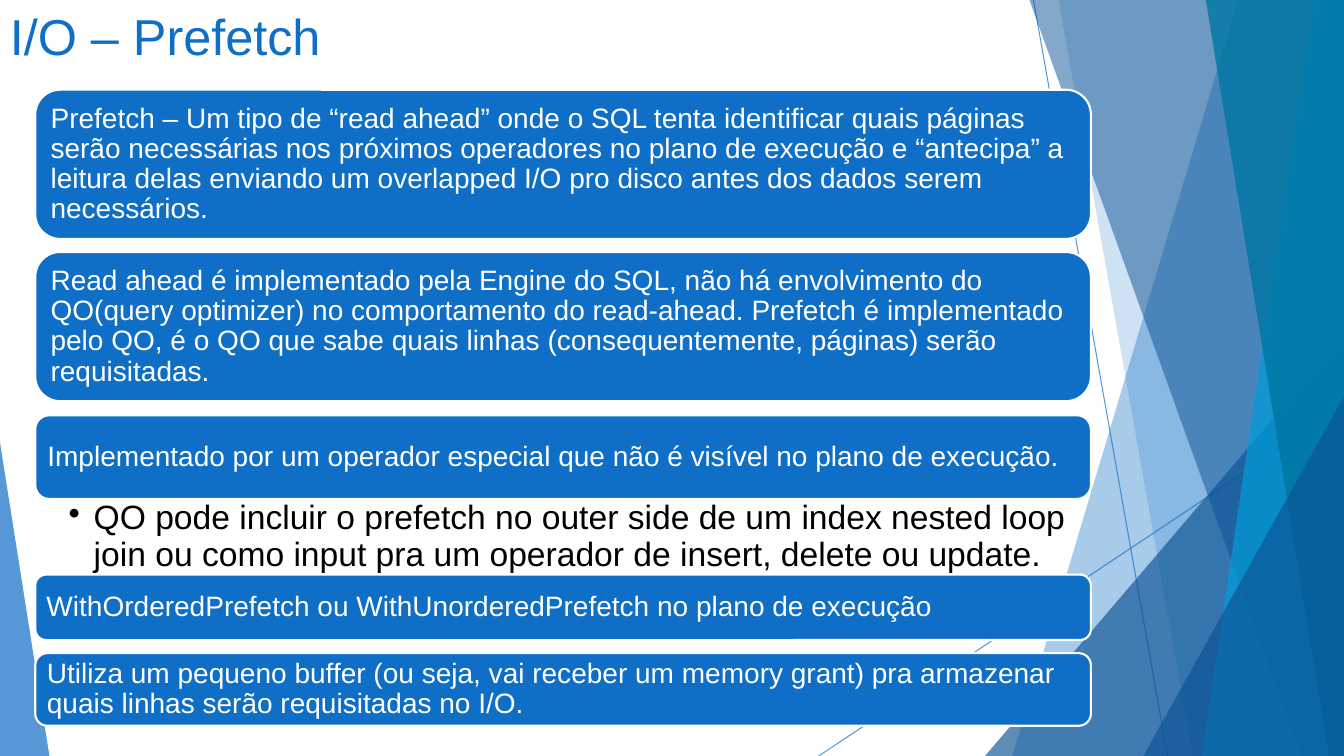
import pptx
import pptx.dml.color
import pptx.enum.shapes
import pptx.enum.text
import pptx.oxml
import pptx.oxml.ns
import pptx.util
from lxml import etree

Inches = pptx.util.Inches
Pt = pptx.util.Pt
RGBColor = pptx.dml.color.RGBColor
SHAPE = pptx.enum.shapes.MSO_SHAPE
ANCHOR = pptx.enum.text.MSO_ANCHOR
qn = pptx.oxml.ns.qn

BLUE = RGBColor(0x0F, 0x6F, 0xC6)
NAVY = RGBColor(0x0B, 0x53, 0x94)
CYAN = RGBColor(0x00, 0x9D, 0xD9)
TEAL = RGBColor(0x00, 0x76, 0xA3)
WHITE = RGBColor(0xFF, 0xFF, 0xFF)
BLACK = RGBColor(0, 0, 0)

WIDTH, HEIGHT = 13.33, 7.5
LIST_LEFT, LIST_WIDTH = 0.35, 10.47

# Top, height and text of each card
CARDS = [
    (0.89, 1.48, "Prefetch – Um tipo de “read ahead” onde o SQL tenta identificar quais páginas "
     "serão necessárias nos próximos operadores no plano de execução e “antecipa” a leitura "
     "delas enviando um overlapped I/O pro disco antes dos dados serem necessários."),
    (2.5, 1.48, "Read ahead é implementado pela Engine do SQL, não há envolvimento do QO(query "
     "optimizer) no comportamento do read-ahead. Prefetch é implementado pelo QO, é o QO que "
     "sabe quais linhas (consequentemente, páginas) serão requisitadas."),
    (4.12, 0.83, "Implementado por um operador especial que não é visível no plano de execução."),
    (5.7, 0.65, "WithOrderedPrefetch ou WithUnorderedPrefetch no plano de execução"),
    (6.48, 0.72, "Utiliza um pequeno buffer (ou seja, vai receber um memory grant) pra armazenar "
     "quais linhas serão requisitadas no I/O."),
]
DETAIL = ("QO pode incluir o prefetch no outer side de um index nested loop join ou como input "
          "pra um operador de insert, delete ou update.")


def set_alpha(color_format, percent):
    """Make an already chosen solid colour partly transparent."""
    for color in color_format.iter(qn("a:srgbClr")):
        etree.SubElement(color, qn("a:alpha")).set("val", str(percent * 1000))


def paint_facet(shape, color, percent):
    shape.shadow.inherit = False
    shape.fill.solid()
    shape.fill.fore_color.rgb = color
    shape.line.fill.background()
    set_alpha(shape.element.spPr, percent)


def add_ray(page, start, end):
    ray = page.shapes.add_connector(pptx.enum.shapes.MSO_CONNECTOR.STRAIGHT,
                                    *map(Inches, start + end))
    ray.line.color.rgb = BLUE
    ray.line.width = Pt(0.75)
    set_alpha(ray.element.spPr, 70)
    etree.SubElement(ray.element.spPr, qn("a:effectLst"))


def add_band(page, top_x, bottom_x, color, percent):
    """Full-height band from a slanted left side to the right page edge."""
    corners = [(WIDTH, 0), (WIDTH, HEIGHT), (bottom_x, HEIGHT)]
    builder = page.shapes.build_freeform(Inches(top_x), 0)
    builder.add_line_segments([(Inches(x), Inches(y)) for x, y in corners], close=True)
    paint_facet(builder.convert_to_shape(), color, percent)


def add_corner(page, left, top, width, apex, color, percent):
    """Right triangle standing on the bottom page edge."""
    corner = page.shapes.add_shape(SHAPE.ISOSCELES_TRIANGLE, Inches(left), Inches(top),
                                   Inches(width), Inches(HEIGHT - top))
    corner.adjustments[0] = apex
    paint_facet(corner, color, percent)


def add_backdrop(page):
    add_ray(page, (10.25, 0), (11.58, HEIGHT))
    add_ray(page, (WIDTH, 4.03), (8.12, HEIGHT))
    add_band(page, 12.28, 10.04, BLUE, 36)
    add_band(page, 10.5, 11.83, BLUE, 20)
    add_corner(page, 9.77, 3.33, 3.56, 1, NAVY, 66)
    add_band(page, 10.21, 12.91, NAVY, 50)
    add_band(page, 13.03, 11.92, CYAN, 70)
    add_band(page, 11.96, 13.18, TEAL, 80)
    add_corner(page, 11.34, 3.93, 1.99, 1, NAVY, 66)
    add_corner(page, 0, 4.39, 0.49, 0, BLUE, 70)


def write(shape, text, size, color, insets, anchor):
    """Fill a shape with one left-aligned paragraph and return that paragraph."""
    frame = shape.text_frame
    frame.text = text
    frame.word_wrap = True
    frame.vertical_anchor = anchor
    (frame.margin_left, frame.margin_top,
     frame.margin_right, frame.margin_bottom) = map(Inches, insets)
    para = frame.paragraphs[0]
    para.alignment = pptx.enum.text.PP_ALIGN.LEFT
    font = para.runs[0].font
    font.name, font.size, font.color.rgb = "Arial", Pt(size), color
    return para


def add_title(page, left, top, width, height):
    box = page.shapes.add_textbox(*map(Inches, (left, top, width, height)))
    write(box, "I/O – Prefetch", 36, BLUE, (0.1, 0.05, 0.1, 0.05), ANCHOR.TOP)


def add_card(page, left, top, width, height, text):
    card = page.shapes.add_shape(SHAPE.ROUNDED_RECTANGLE,
                                 *map(Inches, (left, top, width, height)))
    card.shadow.inherit = False
    card.fill.solid()
    card.fill.fore_color.rgb = BLUE
    card.line.color.rgb = WHITE
    card.line.width = Pt(1.5)
    write(card, text, 20, WHITE, (0.08,) * 4, ANCHOR.MIDDLE).line_spacing = 0.9


def add_detail(page, left, top, width, height):
    box = page.shapes.add_textbox(*map(Inches, (left, top, width, height)))
    para = write(box, DETAIL, 24, BLACK, (0.33, 0.03, 0.19, 0.03), ANCHOR.TOP)
    para.level = 1
    para.line_spacing = 0.9
    properties = para._p.get_or_add_pPr()
    properties.set("marL", str(Inches(0.25)))
    properties.set("indent", str(Inches(-0.25)))
    etree.SubElement(properties, qn("a:buChar")).set("char", "•")


def main():
    deck = pptx.Presentation()
    deck.slide_width, deck.slide_height = Inches(WIDTH), Inches(HEIGHT)
    page = deck.slides.add_slide(deck.slide_layouts[6])
    add_backdrop(page)
    for top, height, text in CARDS:
        add_card(page, LIST_LEFT, top, LIST_WIDTH, height, text)
    add_detail(page, LIST_LEFT, 4.94, LIST_WIDTH, 0.76)
    add_title(page, 0, 0, 9.4, 0.87)
    deck.save("out.pptx")


if __name__ == "__main__":
    main()
